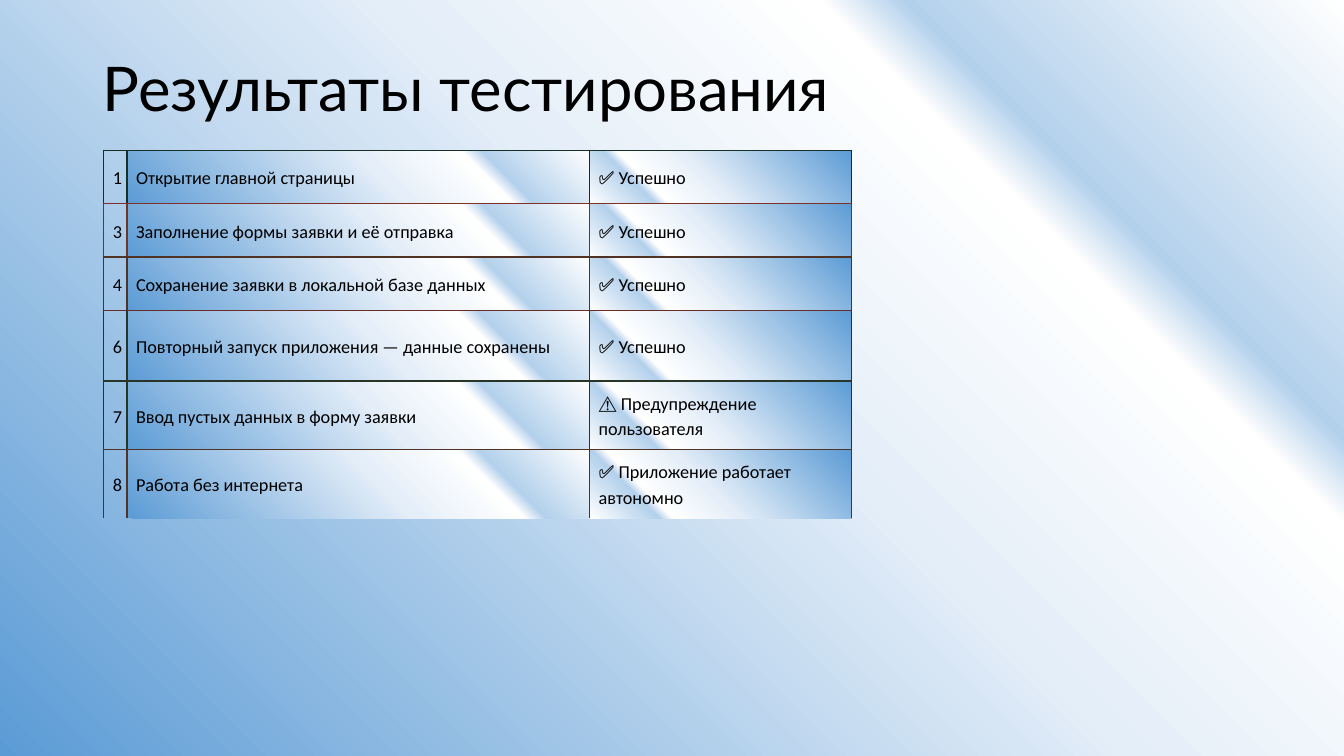
from dataclasses import dataclass

from lxml.etree import SubElement as add_child
from pptx import Presentation
from pptx.dml.color import RGBColor
from pptx.enum.text import MSO_ANCHOR as Anchor
from pptx.oxml import parse_xml
from pptx.oxml.ns import nsdecls, qn
from pptx.util import Inches, Pt


@dataclass(frozen=True)
class Theme:
    ink: str = "000000"
    title_font: str = "Lato"
    title_size: int = 44
    table_font: str = "Calibri"
    table_size: int = 13
    table_leading: int = 18
    border_width: int = 1
    shine: tuple = ((0, "FFFFFF"), (21, "B4D1EC"), (25, "FFFFFF"),
                    (46, "E4EEF8"), (51, "D7E6F5"), (100, "5B9BD5"))
    plain_table: str = "{2D5ABB26-0587-4C30-8999-92F81FD0307C}"


# Corners where the radial gradient starts: left, top, right, bottom in percent
TOP_RIGHT = (100, 0, 0, 100)
BOTTOM_LEFT = (0, 100, 100, 0)


def write(frame, text, *, font, size, color, spacing):
    para = frame.paragraphs[0]
    para.line_spacing = spacing
    span = para.add_run()
    span.text = text
    span.font.name = font
    span.font.size = Pt(size)
    span.font.color.rgb = RGBColor.from_string(color)


class SlideBuilder:
    """Places elements on a grid of 160 columns by 90 rows."""

    def __init__(self, deck, theme):
        self.theme = theme
        self.page = deck.slides.add_slide(deck.slide_layouts[5])
        self.unit = deck.slide_height / 90

    def grid(self, *cells):
        return [round(cell * self.unit) for cell in cells]

    def shine(self, fill, owner, corner):
        """Swap a solid fill inside owner for the theme's radial gradient."""
        fill.solid()
        stops = "".join(f'<a:gs pos="{pos * 1000}"><a:srgbClr val="{color}"/></a:gs>'
                        for pos, color in self.theme.shine)
        rect = " ".join(f'{side}="{share * 1000}"' for side, share in zip("ltrb", corner))
        gradient = parse_xml(
            f'<a:gradFill {nsdecls("a")} rotWithShape="1"><a:gsLst>{stops}</a:gsLst>'
            f'<a:path path="circle"><a:fillToRect {rect}/></a:path></a:gradFill>')
        solid = next(owner.iter(qn("a:solidFill")))
        solid.getparent().replace(solid, gradient)

    def background(self, corner):
        self.shine(self.page.background.fill, self.page.element.cSld, corner)

    def title(self, text, left, top, width, height):
        box = self.page.shapes.title
        box.left, box.top, box.width, box.height = self.grid(left, top, width, height)
        frame = box.text_frame
        frame.word_wrap = True
        frame.vertical_anchor = Anchor.MIDDLE
        write(frame, text, font=self.theme.title_font, size=self.theme.title_size,
              color=self.theme.ink, spacing=0.9)
        frame.paragraphs[0].alignment = 1

    def borders(self, cell, colors):
        """Draw left, right, top and bottom borders; None leaves a side open."""
        props = cell._tc.get_or_add_tcPr()
        for side, color in zip("LRTB", colors):
            line = add_child(props, qn(f"a:ln{side}"), w=str(Pt(self.theme.border_width)))
            if color:
                add_child(add_child(line, qn("a:solidFill")), qn("a:srgbClr"), val=color)
            else:
                add_child(line, qn("a:noFill"))

    def cell(self, cell, text, corner, colors):
        theme = self.theme
        cell.margin_left = cell.margin_right = Inches(0.09)
        cell.margin_top = cell.margin_bottom = Inches(0.09)
        cell.vertical_anchor = Anchor.MIDDLE
        write(cell.text_frame, text, font=theme.table_font, size=theme.table_size,
              color=theme.ink, spacing=Pt(theme.table_leading))
        if corner:
            self.shine(cell.fill, cell._tc.tcPr, corner)
        else:
            cell.fill.background()
        # Borders come before the fill in the cell properties
        props = cell._tc.tcPr
        fill = props[0]
        self.borders(cell, colors)
        props.append(fill)

    def table(self, rows, left, top, widths, heights, corners, sides, edges):
        box = self.page.shapes.add_table(
            len(rows), len(widths), *self.grid(left, top, sum(widths), sum(heights)))
        table = box.table
        table.first_row = table.horz_banding = False
        table._tbl.tblPr.find(qn("a:tableStyleId")).text = self.theme.plain_table
        for column, width in zip(table.columns, self.grid(*widths)):
            column.width = width
        for row, height in zip(table.rows, self.grid(*heights)):
            row.height = height
        for r, texts in enumerate(rows):
            colors = (sides[r], sides[r], edges[r], edges[r + 1])
            for c, text in enumerate(texts):
                self.cell(table.cell(r, c), text, corners[c], colors)


RESULTS = [
    ("1", "Открытие главной страницы", "✅ Успешно"),
    ("3", "Заполнение формы заявки и её отправка", "✅ Успешно"),
    ("4", "Сохранение заявки в локальной базе данных", "✅ Успешно"),
    ("6", "Повторный запуск приложения — данные сохранены", "✅ Успешно"),
    ("7", "Ввод пустых данных в форму заявки", "⚠️ Предупреждение пользователя"),
    ("8", "Работа без интернета", "✅ Приложение работает автономно"),
]
ROW_SIDES = ["182F25", "703425", "503325", "283425", "283425", "503325"]
ROW_EDGES = ["182F25", "803025", "503325", "682D25", "283425", "503325", None]


def main():
    deck = Presentation()
    deck.slide_width, deck.slide_height = Inches(40 / 3), Inches(7.5)
    slide = SlideBuilder(deck, Theme())

    # Background and heading
    slide.background(TOP_RIGHT)
    slide.title("Результаты тестирования", 11.04, 4.8, 138, 12.24)

    # Test results
    slide.table(RESULTS, 12.36, 17.88,
                widths=(2.76, 55.08, 31.2),
                heights=[8.4 if number == "6" else 6.36 for number, *_ in RESULTS],
                corners=(None, TOP_RIGHT, BOTTOM_LEFT),
                sides=ROW_SIDES, edges=ROW_EDGES)

    deck.save("out.pptx")


if __name__ == "__main__":
    main()
